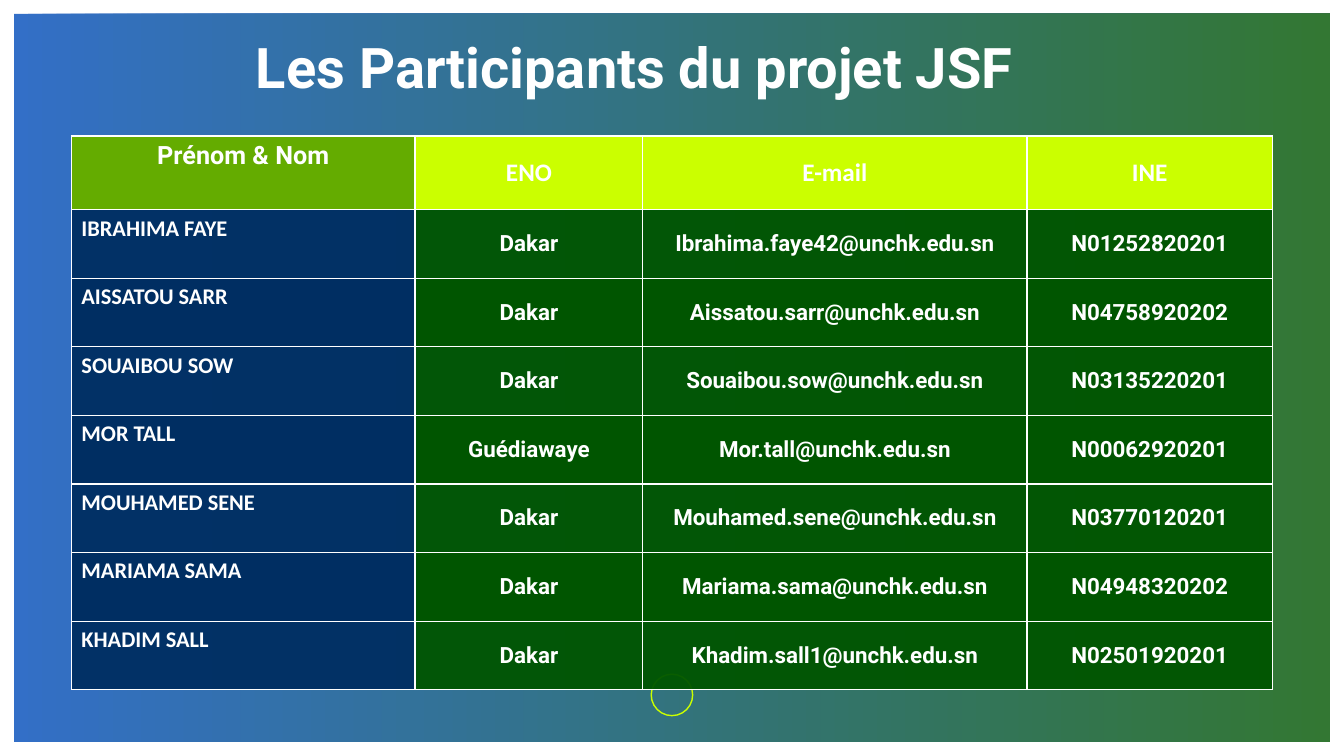
from dataclasses import dataclass

from lxml import etree
from pptx import Presentation
from pptx.dml.color import RGBColor
from pptx.enum.shapes import MSO_SHAPE
from pptx.enum.text import MSO_ANCHOR, MSO_AUTO_SIZE, PP_ALIGN
from pptx.oxml.ns import qn
from pptx.util import Pt

RECTANGLE, OVAL = MSO_SHAPE.RECTANGLE, MSO_SHAPE.OVAL
TOP, MIDDLE = MSO_ANCHOR.TOP, MSO_ANCHOR.MIDDLE
LEFT, CENTER = PP_ALIGN.LEFT, PP_ALIGN.CENTER
TITLE_ONLY = 5


@dataclass(frozen=True)
class Theme:
    white: str = "FFFFFF"
    blue: str = "004CB9"
    navy: str = "002E62"
    green: str = "005500"
    olive: str = "64AC00"
    lime: str = "CBFF00"
    heading_font: str = "Roboto"
    body_font: str = "Calibri"
    title_size: int = 40
    header_size: int = 18
    cell_size: int = 16


THEME = Theme()

COLUMN_WIDTHS = (245.5, 162.7, 274.4, 175.3)
HEADER_HEIGHT, ROW_HEIGHT = 52.6, 49
HEADERS = ("Prénom & Nom", "ENO", "E-mail", "INE")
PARTICIPANTS = (
    ("IBRAHIMA FAYE", "Dakar", "Ibrahima.faye42@unchk.edu.sn", "N01252820201"),
    ("AISSATOU SARR", "Dakar", "Aissatou.sarr@unchk.edu.sn", "N04758920202"),
    ("SOUAIBOU SOW", "Dakar", "Souaibou.sow@unchk.edu.sn", "N03135220201"),
    ("MOR TALL", "Guédiawaye", "Mor.tall@unchk.edu.sn", "N00062920201"),
    ("MOUHAMED SENE", "Dakar", "Mouhamed.sene@unchk.edu.sn", "N03770120201"),
    ("MARIAMA SAMA", "Dakar", "Mariama.sama@unchk.edu.sn", "N04948320202"),
    ("KHADIM SALL", "Dakar", "Khadim.sall1@unchk.edu.sn", "N02501920201"),
)


def write_text(frame, text, *, size, font=THEME.heading_font,
               color=THEME.white, align=CENTER):
    paragraph = frame.paragraphs[0]
    paragraph.text = text
    paragraph.alignment = align
    paragraph.font.name = font
    paragraph.font.size = Pt(size)
    paragraph.font.bold = True
    paragraph.font.color.rgb = RGBColor.from_string(color)


def set_opacity(element, percent):
    for color in element.iter(qn("a:srgbClr")):
        etree.SubElement(color, qn("a:alpha"), val=str(percent * 1000))


def add_background(slide):
    panel = slide.shapes.add_shape(RECTANGLE, Pt(10), Pt(10), Pt(940), Pt(520))
    panel.shadow.inherit = False
    panel.line.fill.background()
    panel.fill.gradient()
    panel.fill.gradient_angle = 0
    for stop, color in zip(panel.fill.gradient_stops, (THEME.blue, THEME.green)):
        stop.color.rgb = RGBColor.from_string(color)
    set_opacity(panel.fill._xPr.find(qn("a:gradFill")), 80)


def add_ring(slide):
    ring = slide.shapes.add_shape(OVAL, Pt(465.2), Pt(481.6), Pt(29.6), Pt(29.6))
    ring.shadow.inherit = False
    ring.fill.background()
    ring.line.color.rgb = RGBColor.from_string(THEME.lime)
    ring.line.width = Pt(1)


def fill_cell(cell, text, *, fill, opacity=100, anchor=MIDDLE, **text_format):
    cell.fill.solid()
    cell.fill.fore_color.rgb = RGBColor.from_string(fill)
    if opacity < 100:
        set_opacity(cell._tc.tcPr, opacity)
    cell.vertical_anchor = anchor
    write_text(cell.text_frame, text, **text_format)


def add_participants(slide):
    rows = len(PARTICIPANTS) + 1
    table = slide.shapes.add_table(
        rows, len(HEADERS), Pt(51), Pt(97.2), Pt(sum(COLUMN_WIDTHS)),
        Pt(HEADER_HEIGHT + ROW_HEIGHT * len(PARTICIPANTS))).table
    for column, width in zip(table.columns, COLUMN_WIDTHS):
        column.width = Pt(width)
    for index, row in enumerate(table.rows):
        row.height = Pt(ROW_HEIGHT if index else HEADER_HEIGHT)

    # Header row
    for column, text in enumerate(HEADERS):
        first = column == 0
        fill_cell(table.cell(0, column), text, size=THEME.header_size,
                  fill=THEME.olive if first else THEME.lime,
                  font=THEME.heading_font if first else THEME.body_font,
                  anchor=TOP if first else MIDDLE)

    # Participant rows, every other one slightly transparent
    for row, participant in enumerate(PARTICIPANTS, start=1):
        opacity = 95 if row % 2 else 100
        name, *details = participant
        fill_cell(table.cell(row, 0), name, fill=THEME.navy, opacity=opacity,
                  anchor=TOP, size=THEME.cell_size, font=THEME.body_font, align=LEFT)
        for column, text in enumerate(details, start=1):
            fill_cell(table.cell(row, column), text, fill=THEME.green,
                      opacity=opacity, size=THEME.cell_size)


def place_title(slide, text):
    title = slide.shapes.title
    title.left, title.top, title.width, title.height = Pt(139), Pt(19.4), Pt(628), Pt(55.4)
    frame = title.text_frame
    frame.word_wrap = True
    frame.auto_size = MSO_AUTO_SIZE.NONE
    frame.vertical_anchor = TOP
    write_text(frame, text, size=THEME.title_size)
    # Bring the title in front of the background panel
    slide.shapes._spTree.append(title._element)


def main():
    presentation = Presentation()
    presentation.slide_width, presentation.slide_height = Pt(960), Pt(540)
    slide = presentation.slides.add_slide(presentation.slide_layouts[TITLE_ONLY])
    add_background(slide)
    add_ring(slide)
    add_participants(slide)
    place_title(slide, "Les Participants du projet JSF")
    presentation.save("out.pptx")


if __name__ == "__main__":
    main()
